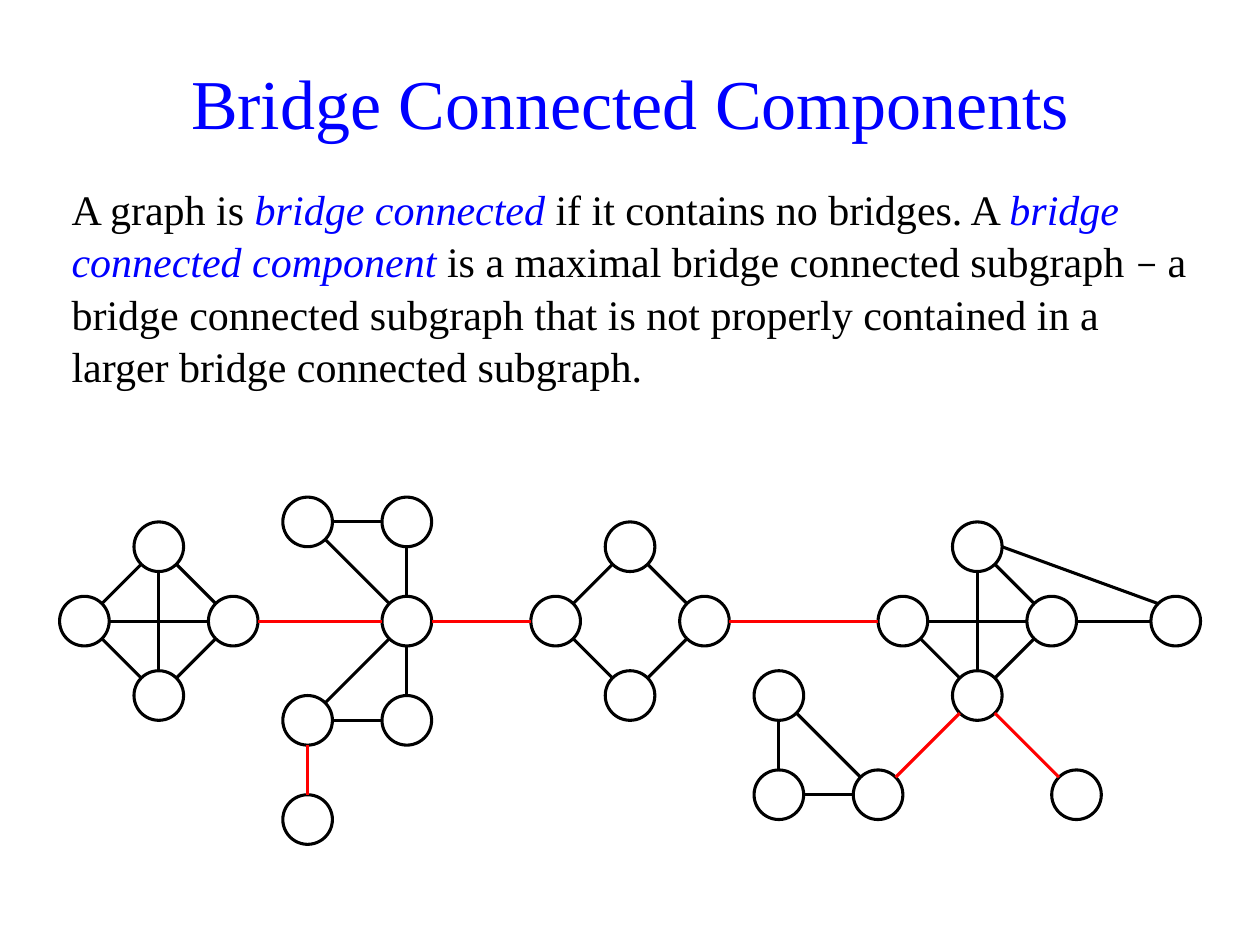
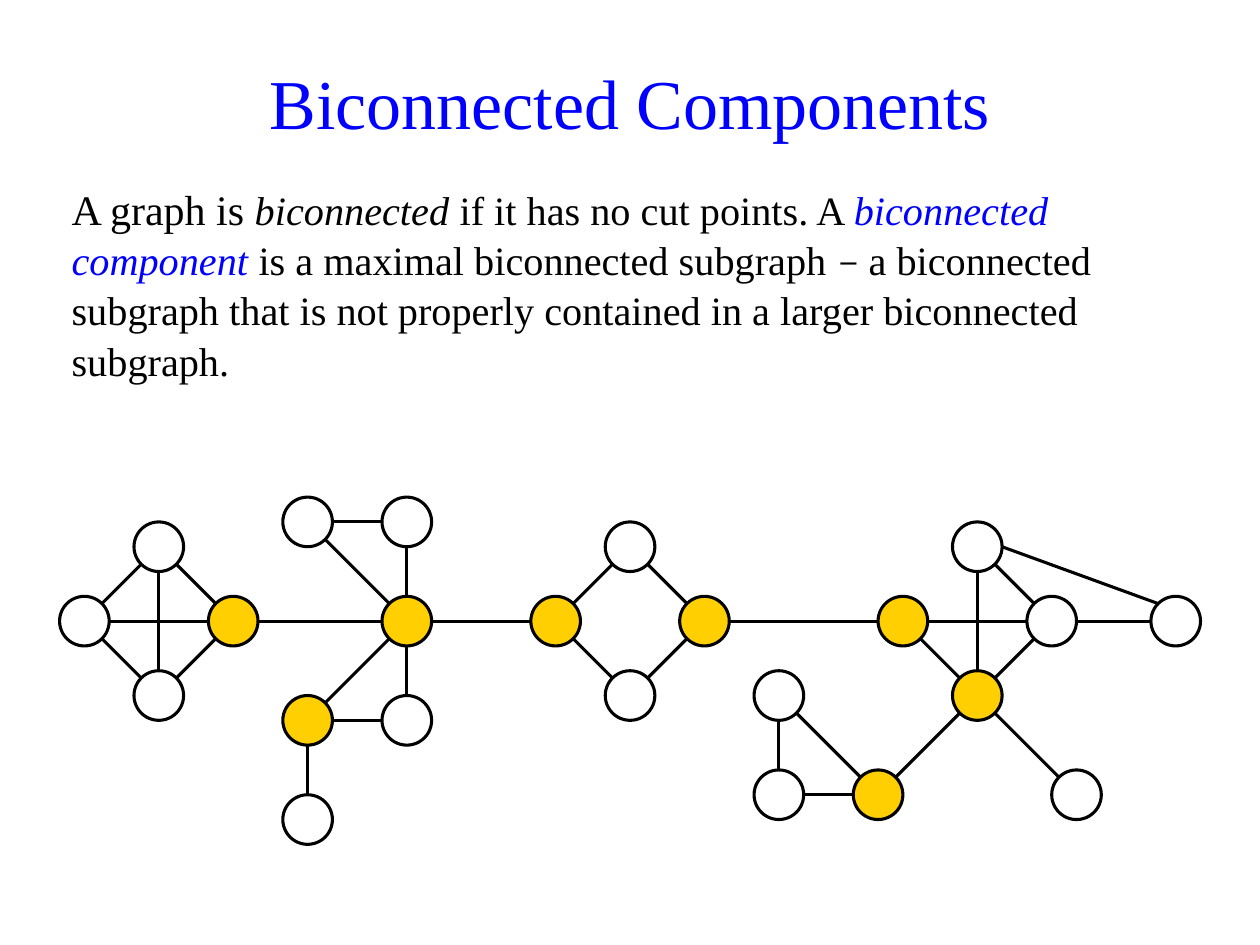
from dataclasses import dataclass
from math import atan2, cos, pi, sin
from lxml.etree import SubElement
from pptx import Presentation
from pptx.dml.color import RGBColor
from pptx.enum.shapes import MSO_CONNECTOR, MSO_SHAPE
from pptx.enum.text import MSO_ANCHOR, PP_ALIGN
from pptx.oxml.ns import qn
from pptx.util import Inches, Pt


@dataclass(frozen=True)
class Theme:
    """Colours, fonts and sizes used on every slide."""
    black: str = "000000"
    white: str = "FFFFFF"
    blue: str = "0000FF"
    red: str = "FF0000"
    gold: str = "FFCF01"
    font: str = "Times New Roman"
    math: str = "Cambria"
    title: float = 40
    body: float = 24
    small: float = 23
    line: float = 1.75


STEP = 0.5 / 2.54
LEFT, MID = 0.67, 4.93

NODES = {
    "A": (0, 0), "B": (3, -3), "C": (6, 0), "D": (3, 3),
    "E": (9, -4), "F": (13, -4), "G": (13, 0), "H": (9, 4), "I": (13, 4), "J": (9, 8),
    "K": (19, 0), "L": (22, -3), "M": (25, 0), "N": (22, 3),
    "O": (33, 0), "P": (36, -3), "Q": (39, 0), "R": (36, 3), "S": (44, 0),
    "T": (28, 3), "U": (28, 7), "V": (32, 7), "W": (40, 7),
}
EDGES = ("AB BC AD DC AC BD EF FG EG IG HI HG KL LM KN NM "
         "PQ OR RQ PR OQ QS PS UT UV TV").split()
LINKS = "CG JH GK MO VR RW".split()
CUTS = "CGHKMORV"
UPLEFT = 5


class Deck:
    """Holds the theme and the current slide, and draws on it."""

    def __init__(self, theme):
        """Start an empty deck."""
        self.theme = theme
        self.show = Presentation()
        self.show.slide_width, self.show.slide_height = Inches(10), Inches(7.5)

    def page(self):
        """Open a new blank slide."""
        self.slide = self.show.slides.add_slide(self.show.slide_layouts[6])

    def frame(self, top, high):
        """Add a full-width text box and return its text frame."""
        box = self.slide.shapes.add_textbox(
            Inches(0.47), Inches(top), Inches(9.06), Inches(high))
        box.text_frame.word_wrap = True
        return box.text_frame

    def run(self, para, text, size, color, slant=False, font=None):
        """Append one styled run."""
        run = para.add_run()
        run.text = text
        run.font.name = font or self.theme.font
        run.font.size = Pt(size)
        run.font.italic = slant
        run.font.color.rgb = RGBColor.from_string(color)

    def title(self, text):
        """Add the slide title."""
        frame = self.frame(0.21, 0.98)
        frame.vertical_anchor = MSO_ANCHOR.BOTTOM
        para = frame.paragraphs[0]
        para.alignment = PP_ALIGN.CENTER
        self.run(para, text, self.theme.title, self.theme.blue)

    def body(self, runs):
        """Add the definition below the title."""
        para = self.frame(1.39, 1.77).paragraphs[0]
        para.line_spacing = 1.04
        for run in runs:
            self.run(para, *run)

    def node(self, name, fill):
        """Draw one vertex."""
        col, row = NODES[name]
        x, y = LEFT + (col - 1) * STEP, MID + (row - 1) * STEP
        dot = self.slide.shapes.add_shape(
            MSO_SHAPE.OVAL, Inches(x), Inches(y), Inches(2 * STEP), Inches(2 * STEP))
        dot.shadow.inherit = False
        dot.fill.solid()
        dot.fill.fore_color.rgb = RGBColor.from_string(fill)
        self.stroke(dot.line, self.theme.black)

    def stroke(self, line, color):
        """Style an outline or an edge."""
        line.color.rgb = RGBColor.from_string(color)
        line.width = Pt(self.theme.line)

    def edge(self, pair, color):
        """Join two vertices at the nearest of their eight rim points."""
        (ax, ay), (bx, by) = (NODES[name] for name in pair)
        turn = round(atan2(by - ay, bx - ax) / (pi / 4))
        back = UPLEFT if pair == "PS" else turn + 4
        ends = []
        for x, y, way in ((ax, ay, turn), (bx, by, back)):
            ends += [Inches(LEFT + (x + cos(way * pi / 4)) * STEP),
                     Inches(MID + (y + sin(way * pi / 4)) * STEP)]
        line = self.slide.shapes.add_connector(MSO_CONNECTOR.STRAIGHT, *ends)
        self.stroke(line.line, color)
        SubElement(line.element.spPr, qn("a:effectLst"))

    def graph(self, link, cut):
        """Draw the graph with given bridge and cut point colours."""
        for name in NODES:
            self.node(name, cut if name in CUTS else self.theme.white)
        for pair in EDGES:
            self.edge(pair, self.theme.black)
        for pair in LINKS:
            self.edge(pair, link)


def main():
    """Build both slides and save them."""
    look = Theme()
    deck = Deck(look)
    big, low = look.body, look.small
    ink, key = look.black, look.blue

    deck.page()
    deck.title("Bridge Connected Components")
    deck.body([
        ("A graph is ", big, ink),
        ("bridge connected", big, key, True),
        (" if it contains no bridges. A ", big, ink),
        ("bridge connected component", big, key, True),
        (" is a maximal bridge connected subgraph ", big, ink),
        ("− ", big, ink, False, look.math),
        ("a bridge connected subgraph that is not properly contained in a "
         "larger bridge connected subgraph.", big, ink),
    ])
    deck.graph(look.red, look.white)

    deck.page()
    deck.title("Biconnected Components")
    deck.body([
        ("A graph is ", big, ink),
        ("biconnected", low, ink, True),
        (" if it has no cut points. A ", low, ink),
        ("biconnected component", low, key, True),
        (" is a maximal biconnected subgraph ", low, ink),
        ("− ", low, ink, False, look.math),
        ("a biconnected subgraph that is not properly contained in a "
         "larger biconnected subgraph.", low, ink),
    ])
    deck.graph(look.black, look.gold)

    deck.show.save("out.pptx")


if __name__ == "__main__":
    main()
